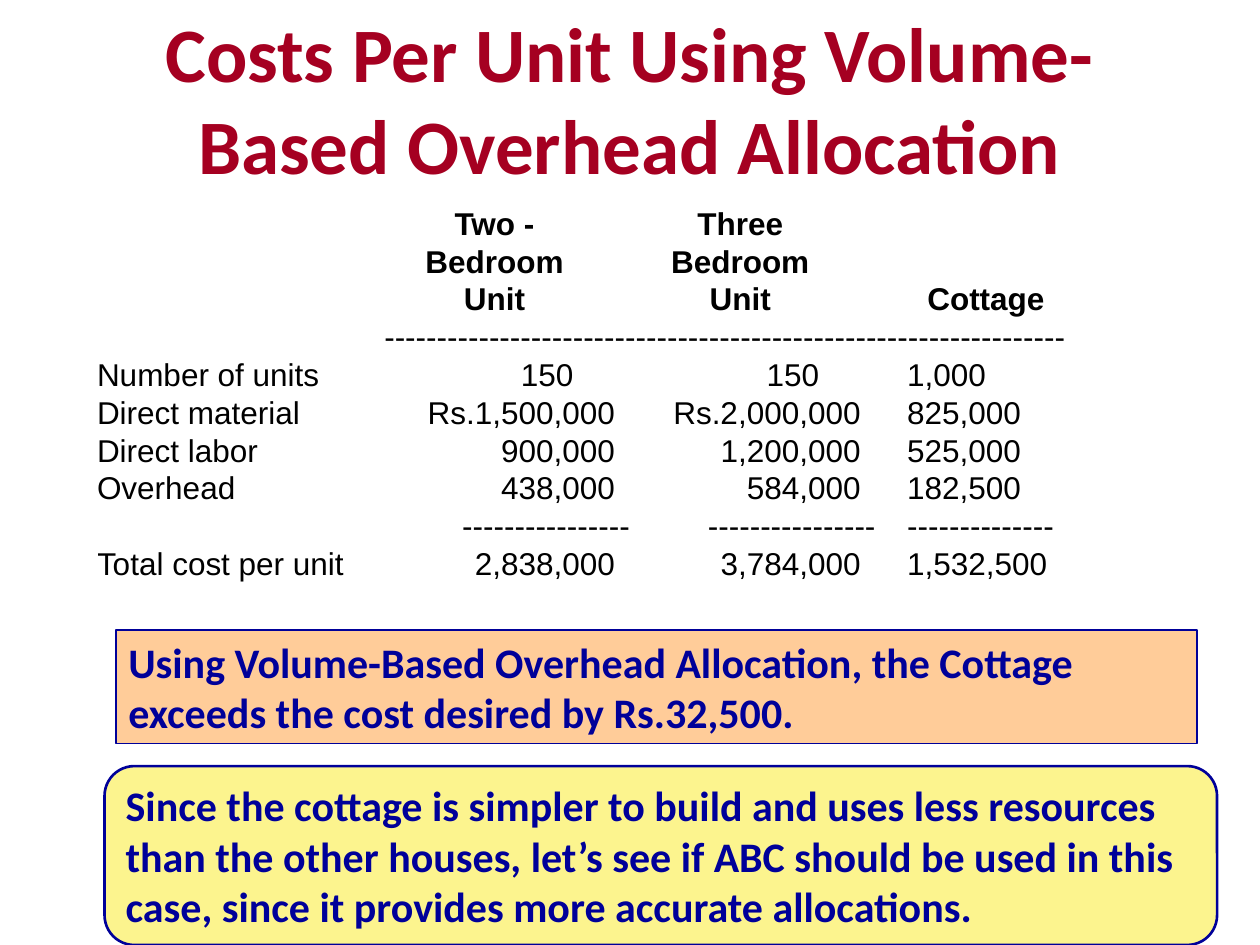
from dataclasses import dataclass

from pptx import Presentation
from pptx.dml.color import RGBColor
from pptx.enum import shapes, text
from pptx.util import Inches, Pt


@dataclass(frozen=True)
class Theme:
    heading: str = "A50021"
    ink: str = "000000"
    navy: str = "000099"
    peach: str = "FFCC99"
    yellow: str = "FCF48E"
    heading_size: int = 44
    note_size: int = 24
    cost_size: int = 18
    display_font: str = "Calibri"
    cost_font: str = "Arial"


theme = Theme()
LEFT, CENTER, RIGHT = text.PP_ALIGN.LEFT, text.PP_ALIGN.CENTER, text.PP_ALIGN.RIGHT
TOP, MIDDLE = text.MSO_ANCHOR.TOP, text.MSO_ANCHOR.MIDDLE


def write(frame, words, font, size, color, bold=False, align=LEFT, anchor=TOP):
    frame.word_wrap = True
    frame.vertical_anchor = anchor
    paragraph = frame.paragraphs[0]
    paragraph.alignment = align
    run = paragraph.add_run()
    run.text = words
    run.font.name = font
    run.font.size = Pt(size)
    run.font.bold = bold
    run.font.color.rgb = RGBColor.from_string(color)


deck = Presentation()
deck.slide_width, deck.slide_height = Inches(10), Inches(7.5)
slide = deck.slides.add_slide(deck.slide_layouts[5])

heading = slide.shapes.title
heading.left, heading.top = Inches(0.5), Inches(0.3)
heading.width, heading.height = Inches(9), Inches(0.95)
heading.text_frame.auto_size = text.MSO_AUTO_SIZE.NONE
write(heading.text_frame, "Costs Per Unit Using Volume-Based Overhead Allocation",
      font=theme.display_font, size=theme.heading_size, color=theme.heading,
      bold=True, align=CENTER, anchor=MIDDLE)

cost_rows = [
    ("head", "", "Two -", "Three", ""),
    ("head", "", "Bedroom", "Bedroom", ""),
    ("head", "", "Unit", "Unit", "Cottage"),
    ("rule", "", "-" * 65, "", ""),
    ("units", "Number of units", "150", "150", "1,000"),
    ("cost", "Direct material", "Rs.1,500,000", "Rs.2,000,000", "825,000"),
    ("cost", "Direct labor", "900,000", "1,200,000", "525,000"),
    ("cost", "Overhead", "438,000", "584,000", "182,500"),
    ("sum", "", "-" * 16, "-" * 16, "-" * 14),
    ("cost", "Total cost per unit", "2,838,000", "3,784,000", "1,532,500"),
]
right_gaps = {"head": 0.2, "rule": 0, "units": 0.45, "cost": 0.12, "sum": 0}
column_widths = [2.28, 1.95, 1.95, 1.95]
row_height = 0.3

costs = slide.shapes.add_table(
    len(cost_rows), len(column_widths), Inches(0.77), Inches(1.64),
    Inches(sum(column_widths)), Inches(row_height * len(cost_rows))).table
costs.first_row = costs.horz_banding = False
for column, width in zip(costs.columns, column_widths):
    column.width = Inches(width)

for r, (role, *entries) in enumerate(cost_rows):
    costs.rows[r].height = Inches(row_height)
    if role == "rule":
        costs.cell(r, 1).merge(costs.cell(r, 3))
    for c, entry in enumerate(entries):
        cell = costs.cell(r, c)
        cell.fill.background()
        cell.margin_left = cell.margin_right = 0
        cell.margin_top = cell.margin_bottom = 0
        if cell.is_spanned:
            continue
        align = LEFT
        if role == "head":
            align = CENTER
            cell.margin_right = Inches(right_gaps[role])
        elif c == 3:
            cell.margin_left = Inches(0.25)
        elif c > 0 and role != "rule":
            align = RIGHT
            cell.margin_right = Inches(right_gaps[role])
        write(cell.text_frame, entry, font=theme.cost_font, size=theme.cost_size,
              color=theme.ink, bold=role == "head", align=align)

notes = [
    (shapes.MSO_SHAPE.RECTANGLE, (0.92, 5, 8.58, 0.9), theme.peach, 0.75, TOP,
     "Using Volume-Based Overhead Allocation, the Cottage exceeds the cost "
     "desired by Rs.32,500."),
    (shapes.MSO_SHAPE.ROUNDED_RECTANGLE, (0.83, 6.08, 8.83, 1.42), theme.yellow, 1.5, MIDDLE,
     "Since the cottage is simpler to build and uses less resources than the "
     "other houses, let’s see if ABC should be used in this case, since it "
     "provides more accurate allocations."),
]
for outline, place, fill, line_width, anchor, words in notes:
    note = slide.shapes.add_shape(outline, *map(Inches, place))
    note.shadow.inherit = False
    note.fill.solid()
    note.fill.fore_color.rgb = RGBColor.from_string(fill)
    note.line.color.rgb = RGBColor.from_string(theme.navy)
    note.line.width = Pt(line_width)
    write(note.text_frame, words, font=theme.display_font, size=theme.note_size,
          color=theme.navy, bold=True, anchor=anchor)

deck.save("out.pptx")
